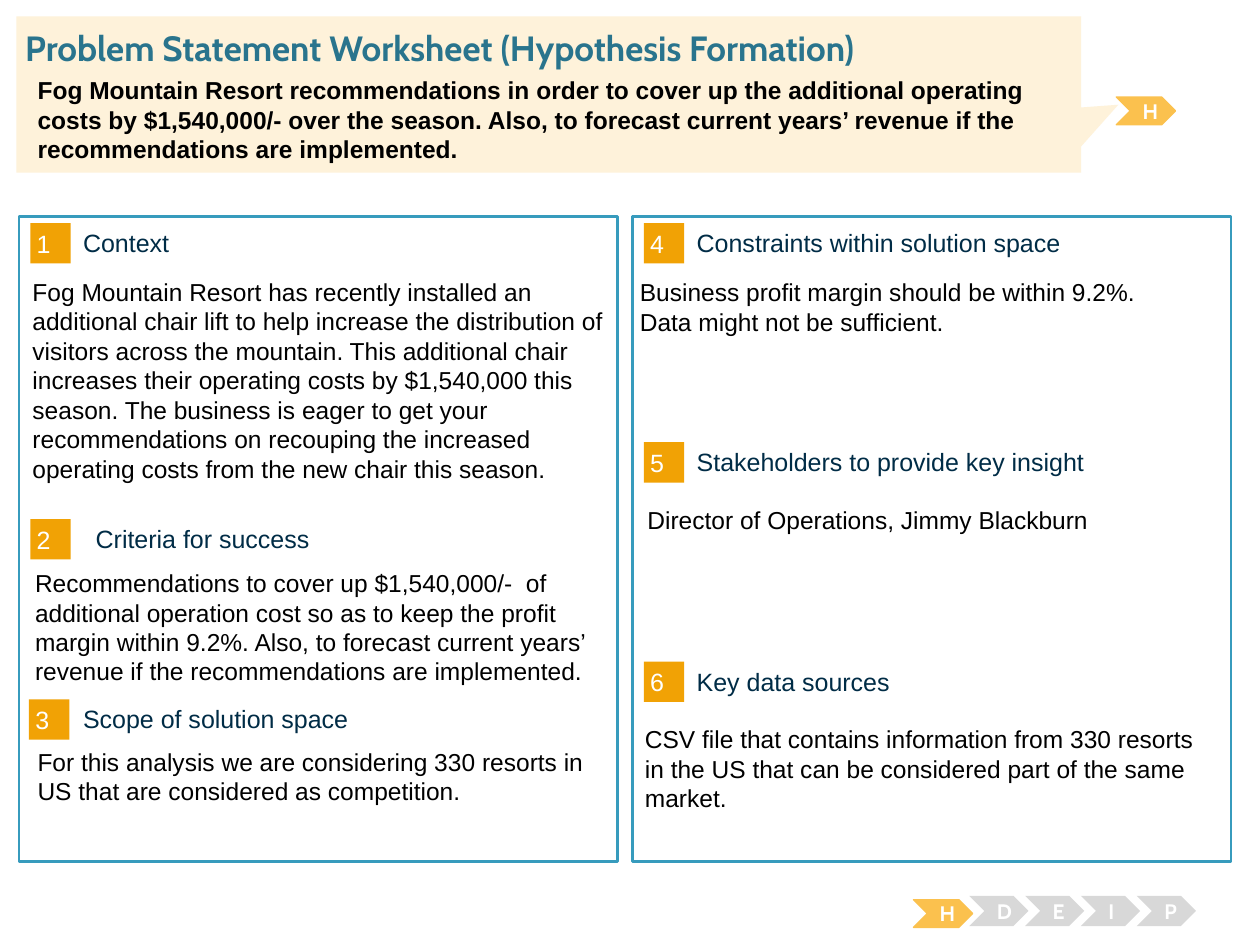
from dataclasses import dataclass

from lxml import etree
from pptx import Presentation
from pptx.dml.color import RGBColor
from pptx.enum.shapes import MSO_SHAPE
from pptx.enum.text import MSO_ANCHOR, MSO_AUTO_SIZE, PP_ALIGN
from pptx.util import Inches, Pt

RECTANGLE = MSO_SHAPE.RECTANGLE
CHEVRON = MSO_SHAPE.CHEVRON
CALLOUT = MSO_SHAPE.RECTANGULAR_CALLOUT
TOP, MIDDLE = MSO_ANCHOR.TOP, MSO_ANCHOR.MIDDLE
LEFT, CENTER = PP_ALIGN.LEFT, PP_ALIGN.CENTER
FIXED = MSO_AUTO_SIZE.NONE
TITLE_ONLY = 5


@dataclass(frozen=True)
class Theme:
    body_font: str = "Arial"
    display_font: str = "Cabin"
    title_size: float = 20
    heading_size: float = 14.3
    body_size: float = 14
    step_size: float = 12
    white: str = "FFFFFF"
    black: str = "000000"
    title: str = "29748D"
    heading: str = "002C46"
    border: str = "379BBD"
    badge: str = "F1A205"
    active: str = "FBC14E"
    inactive: str = "D8D8D8"
    banner: str = "FEF2DA"


@dataclass(frozen=True)
class Section:
    heading: str
    paragraphs: tuple
    column: int
    top: float
    body_top: float
    body_height: float
    body_nudge: float
    badge_nudge: float = 0
    heading_nudge: float = 0


THEME = Theme()
COLUMN_LEFTS = (0.15, 5.02)
COLUMN_TOP, COLUMN_WIDTH, COLUMN_HEIGHT = 1.72, 4.75, 5.12
BADGE = 0.32
NO_INSETS = (0, 0)
BADGE_INSETS = (0.05, 0.05)
TEXT_INSETS = (0.1, 0.05)
STEPS = "HDEIP"
STEP_LEFT, STEP_PITCH, STEP_WIDTH = 7.25, 0.443, 0.47
ACTIVE_HEIGHT, INACTIVE_HEIGHT = 0.22, 0.24

TITLE = "Problem Statement Worksheet (Hypothesis Formation)"
STATEMENT = (
    "Fog Mountain Resort recommendations in order to cover up the additional "
    "operating costs by $1,540,000/- over the season. Also, to forecast current "
    "years’ revenue if the recommendations are implemented."
)
SECTIONS = (
    Section("Context", (
        "Fog Mountain Resort has recently installed an additional chair lift to help "
        "increase the distribution of visitors across the mountain. This additional "
        "chair increases their operating costs by $1,540,000 this season. The business "
        "is eager to get your recommendations on recouping the increased operating "
        "costs from the new chair this season.",
    ), 0, 1.77, 2.15, 1.94, 0.01),
    Section("Criteria for success", (
        "Recommendations to cover up $1,540,000/-  of additional operation cost so as "
        "to keep the profit margin within 9.2%. Also, to forecast current years’ "
        "revenue if the recommendations are implemented.",
    ), 0, 4.12, 4.46, 0.98, 0.03, heading_nudge=0.1),
    Section("Scope of solution space", (
        "For this analysis we are considering 330 resorts in US that are considered "
        "as competition.",
    ), 0, 5.55, 5.88, 0.61, 0.05, badge_nudge=-0.01),
    Section("Constraints within solution space", (
        "Business profit margin should be within 9.2%.",
        "Data might not be sufficient.",
    ), 1, 1.77, 2.15, 1.18, -0.04),
    Section("Stakeholders to provide key insight", (
        "Director of Operations, Jimmy Blackburn",
    ), 1, 3.51, 3.96, 0.97, 0.02),
    Section("Key data sources", (
        "CSV file that contains information from 330 resorts in the US that can be "
        "considered part of the same market.",
    ), 1, 5.25, 5.7, 1.05, 0),
)


def box(left, top, width, height):
    return [Inches(length) for length in (left, top, width, height)]


def write(holder, *paragraphs, size=THEME.body_size, color=THEME.black,
          font=THEME.body_font, bold=False, align=LEFT, anchor=TOP,
          insets=TEXT_INSETS):
    frame = holder.text_frame
    frame.word_wrap = True
    frame.auto_size = FIXED
    frame.vertical_anchor = anchor
    frame.margin_left = frame.margin_right = Inches(insets[0])
    frame.margin_top = frame.margin_bottom = Inches(insets[1])
    for index, wording in enumerate(paragraphs):
        paragraph = frame.add_paragraph() if index else frame.paragraphs[0]
        paragraph.alignment = align
        run = paragraph.add_run()
        run.text = wording
        run.font.size = Pt(size)
        run.font.name = font
        run.font.bold = bold
        run.font.color.rgb = RGBColor.from_string(color)


def add_block(slide, kind, area, fill, line=None, line_width=0.75):
    block = slide.shapes.add_shape(kind, *box(*area))
    block.shadow.inherit = False
    block.fill.solid()
    block.fill.fore_color.rgb = RGBColor.from_string(fill)
    if line:
        block.line.color.rgb = RGBColor.from_string(line)
        block.line.width = Pt(line_width)
    else:
        block.line.fill.background()
    return block


def add_text(slide, area, *paragraphs, **style):
    write(slide.shapes.add_textbox(*box(*area)), *paragraphs, **style)


def add_section(slide, number, section):
    column_left = COLUMN_LEFTS[section.column]
    badge_left = column_left + 0.09 + section.badge_nudge
    badge = add_block(slide, RECTANGLE, (badge_left, section.top, BADGE, BADGE), THEME.badge)
    write(badge, str(number), size=THEME.heading_size, color=THEME.white,
          anchor=MIDDLE, insets=BADGE_INSETS)
    heading_left = column_left + 0.51 + section.heading_nudge
    add_text(slide, (heading_left, section.top + 0.03, 3.93, 0.25), section.heading,
             size=THEME.heading_size, color=THEME.heading, anchor=MIDDLE, insets=NO_INSETS)
    add_text(slide, (column_left + section.body_nudge, section.body_top, 4.73,
                     section.body_height), *section.paragraphs)


def add_step(slide, letter, left, top, active):
    height = ACTIVE_HEIGHT if active else INACTIVE_HEIGHT
    fill = THEME.active if active else THEME.inactive
    step = add_block(slide, CHEVRON, (left, top, STEP_WIDTH, height), fill,
                     line=fill if active else None)
    write(step, letter, size=THEME.step_size, color=THEME.white,
          font=THEME.display_font, bold=True, align=CENTER, anchor=MIDDLE)


def add_banner(slide):
    banner = add_block(slide, CALLOUT, (0.13, 0.13, 8.45, 1.24), THEME.banner)
    banner.adjustments[0], banner.adjustments[1] = 0.535, 0.066
    title = slide.shapes.title
    title.left, title.top, title.width, title.height = box(0.2, 0.21, 9.62, 0.34)
    write(title, TITLE, size=THEME.title_size, color=THEME.title,
          font=THEME.display_font, bold=True, insets=NO_INSETS)
    banner.element.addnext(title.element)
    add_text(slide, (0.2, 0.55, 8.38, 0.9), STATEMENT, bold=True)


def main():
    deck = Presentation()
    deck.slide_width, deck.slide_height = Inches(10), Inches(7.5)
    slide = deck.slides.add_slide(deck.slide_layouts[TITLE_ONLY])
    for column_left in COLUMN_LEFTS:
        add_block(slide, RECTANGLE, (column_left, COLUMN_TOP, COLUMN_WIDTH, COLUMN_HEIGHT),
                  THEME.white, line=THEME.border, line_width=1.5)
    for number, section in enumerate(SECTIONS, 1):
        add_section(slide, number, section)
    for index, letter in enumerate(STEPS):
        active = index == 0
        add_step(slide, letter, STEP_LEFT + index * STEP_PITCH, 7.14 if active else 7.11, active)
    add_step(slide, STEPS[0], 8.86, 0.77, True)
    add_banner(slide)
    deck.save("out.pptx")


if __name__ == "__main__":
    main()
